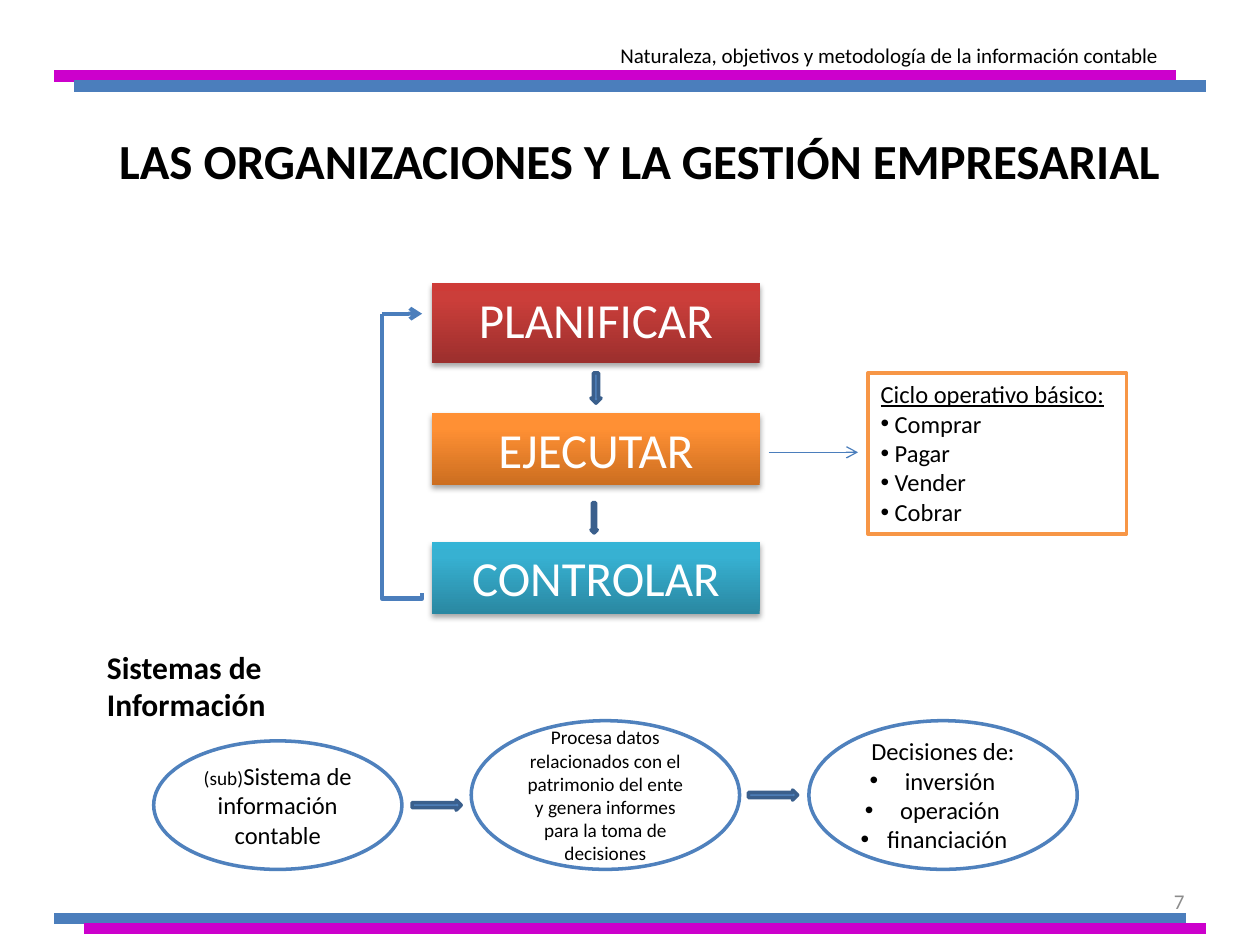
from lxml import etree
from pptx import Presentation, util as u
from pptx.dml.color import RGBColor
from pptx.enum import shapes as sh, text as tx
from pptx.oxml import parse_xml
from pptx.oxml.ns import qn

NS = 'xmlns:a="http://schemas.openxmlformats.org/drawingml/2006/main"'
COL = dict(black="000000", white="FFFFFF", grey="8C8C8C", pink="CC00CC",
           blue="4B7EBC", fill="4F81BD", edge="3A5F8C", orange="F79646")
KIND = sh.MSO_SHAPE
LEFT, MID, RIGHT = tx.PP_ALIGN.LEFT, tx.PP_ALIGN.CENTER, tx.PP_ALIGN.RIGHT


def rgb(name):
    return RGBColor.from_string(COL[name])


def write(shape, paras, size, align=LEFT, color="black", middle=False, **font):
    """Each paragraph is (text, format); 'bullet' and 'first' are extras."""
    frame = shape.text_frame
    frame.word_wrap = True
    frame.vertical_anchor = tx.MSO_ANCHOR.MIDDLE if middle else tx.MSO_ANCHOR.TOP
    for i, (words, form) in enumerate(paras):
        para = frame.paragraphs[0] if i == 0 else frame.add_paragraph()
        para.alignment = align
        form = {"name": "Calibri", "size": u.Pt(size), **font, **form}
        if form.pop("bullet", False):
            props = para._p.get_or_add_pPr()
            etree.SubElement(props, qn("a:buFont")).set("typeface", "Arial")
            etree.SubElement(props, qn("a:buChar")).set("char", "•")
        lead = form.pop("lead", None)
        parts = ([(lead, {"size": u.Pt(11)})] if lead else []) + [(words, {})]
        for part, extra in parts:
            run = para.add_run()
            run.text = part
            run.font.color.rgb = rgb(color)
            for key, value in {**form, **extra}.items():
                setattr(run.font, key, value)


def label(slide, box, words, size, **form):
    area = slide.shapes.add_textbox(*map(u.Inches, box))
    write(area, [(words, {})], size, **form)


def block(slide, kind, box, fill, edge=None):
    shape = slide.shapes.add_shape(kind, *map(u.Inches, box))
    shape.shadow.inherit = False
    shape.fill.solid()
    shape.fill.fore_color.rgb = rgb(fill)
    if edge:
        shape.line.color.rgb = rgb(edge)
        shape.line.width = u.Pt(2)
    else:
        shape.line.fill.background()
    return shape


def rule(slide, start, end, color, width, arrow=False):
    line = slide.shapes.add_connector(
        sh.MSO_CONNECTOR.STRAIGHT, *map(u.Inches, start + end))
    line.line.color.rgb = rgb(color)
    line.line.width = u.Pt(width)
    if arrow:
        tail = etree.SubElement(line.line._get_or_add_ln(), qn("a:tailEnd"))
        tail.set("type", "arrow")
    etree.SubElement(line._element.spPr, qn("a:effectLst"))


def bands(slide, y, bars):
    """A pair of offset coloured bars."""
    for i, (color, x1, x2) in enumerate(bars):
        level = y + 0.08 * i
        rule(slide, (x1, level), (x2, level), color, 6.75)


def step(slide, box, name, tones):
    """A shaded, shadowed box, dark at the bottom."""
    shape = block(slide, KIND.RECTANGLE, box, "white")
    stops = "".join(f'<a:gs pos="{pos}000"><a:srgbClr val="{tone}"/></a:gs>'
                    for pos, tone in zip((0, 80, 100), tones))
    props = shape._element.spPr
    props.replace(props.find(qn("a:solidFill")), parse_xml(
        f'<a:gradFill {NS} rotWithShape="1"><a:gsLst>{stops}</a:gsLst>'
        '<a:lin ang="16200000" scaled="0"/></a:gradFill>'))
    props.replace(props.find(qn("a:effectLst")), parse_xml(
        f'<a:effectLst {NS}><a:outerShdw blurRad="{u.Pt(3.1)}" '
        f'dist="{u.Pt(1.8)}" dir="5400000" rotWithShape="0">'
        '<a:srgbClr val="000000"><a:alpha val="35000"/></a:srgbClr>'
        '</a:outerShdw></a:effectLst>'))
    write(shape, [(name, {})], 28, MID, "white")


def cycle(slide, x, y):
    """Three stacked steps, the arrows between them and the way back."""
    steps = [("PLANIFICAR", 0, 0.63, ("9C2F2D", "CB3E3A", "CE3B37")),
             ("EJECUTAR", 1.03, 0.57, ("CC6E20", "FF9034", "FF9136")),
             ("CONTROLAR", 2.05, 0.57, ("2A88A2", "37B1D2", "34B4D6"))]
    for name, top, high, tones in steps:
        step(slide, (x, y + top, 2.6, high), name, tones)
    for top, wide in ((0.71, 0.08), (1.74, 0.05)):
        block(slide, KIND.DOWN_ARROW, (x + 1.26, y + top, wide, 0.24),
              "fill", "edge")
    # Feedback loop
    near, far, top, low = x - 0.08, x - 0.4, y + 0.24, y + 2.5
    path_pts = [(near, low), (far, low), (far, top)]
    pen = slide.shapes.build_freeform(
        u.Inches(near), u.Inches(low - 0.04), scale=1.0)
    pen.add_line_segments([(u.Inches(a), u.Inches(b)) for a, b in path_pts],
                          close=False)
    loop = pen.convert_to_shape()
    loop.shadow.inherit = False
    loop.fill.background()
    loop.line.color.rgb = rgb("blue")
    loop.line.width = u.Pt(2.5)
    rule(slide, (far, top), (near, top), "blue", 2.25, True)
    rule(slide, (x + 2.67, y + 1.34), (x + 3.38, y + 1.34), "blue", 0.75, True)


def basics(slide, box):
    """The outlined list beside the cycle."""
    shape = block(slide, KIND.RECTANGLE, box, "white", "orange")
    items = ("Comprar", "Pagar", "Vender", "Cobrar")
    write(shape, [("Ciclo operativo básico:", {"underline": True})]
          + [(" " + item, {"bullet": True}) for item in items], 14)


def systems(slide, x, y):
    """Row of ovals joined by arrows."""
    dot = {"bullet": True}
    ovals = [
        ((0, 0.16, 1.97, 1.02), 14,
         [("Sistema de información contable", {"lead": "(sub)"})]),
        ((2.52, 0, 2.13, 1.18), 11,
         [("Procesa datos relacionados con el patrimonio del ente y genera "
           "informes para la toma de decisiones", {})]),
        ((5.2, 0, 2.13, 1.18), 14,
         [("Decisiones de:", {}), (" inversión", dot), (" operación", dot),
          ("financiación", dot)])]
    for (left, top, wide, high), size, paras in ovals:
        oval = block(slide, KIND.OVAL, (x + left, y + top, wide, high),
                     "white", "fill")
        write(oval, paras, size, MID, middle=True)
    for left, top in ((2.05, 0.63), (4.72, 0.55)):
        block(slide, KIND.RIGHT_ARROW, (x + left, y + top, 0.39, 0.08),
              "fill", "edge")


def main():
    deck = Presentation()
    deck.slide_width, deck.slide_height = u.Inches(10), u.Inches(7.5)
    slide = deck.slides.add_slide(deck.slide_layouts[6])
    # Header and footer
    bands(slide, 0.6, [("pink", 0.43, 9.33), ("blue", 0.59, 9.57)])
    bands(slide, 7.29, [("blue", 0.43, 9.41), ("pink", 0.67, 9.57)])
    label(slide, (4.29, 0.29, 5, 0.3),
          "Naturaleza, objetivos y metodología de la información contable",
          12, align=RIGHT)
    label(slide, (7.17, 6.95, 2.33, 0.4), "7", 12, align=RIGHT,
          color="grey", middle=True)
    # Title
    label(slide, (0.51, 0.99, 9.13, 0.57),
          "LAS ORGANIZACIONES Y LA GESTIÓN EMPRESARIAL", 28,
          align=MID, bold=True)
    # Body
    cycle(slide, 3.43, 2.25)
    basics(slide, (6.89, 2.96, 2.05, 1.28))
    label(slide, (0.75, 5.09, 1.65, 1.01), "Sistemas de Información", 18,
          bold=True)
    systems(slide, 1.22, 5.72)
    deck.save("out.pptx")


if __name__ == "__main__":
    main()
